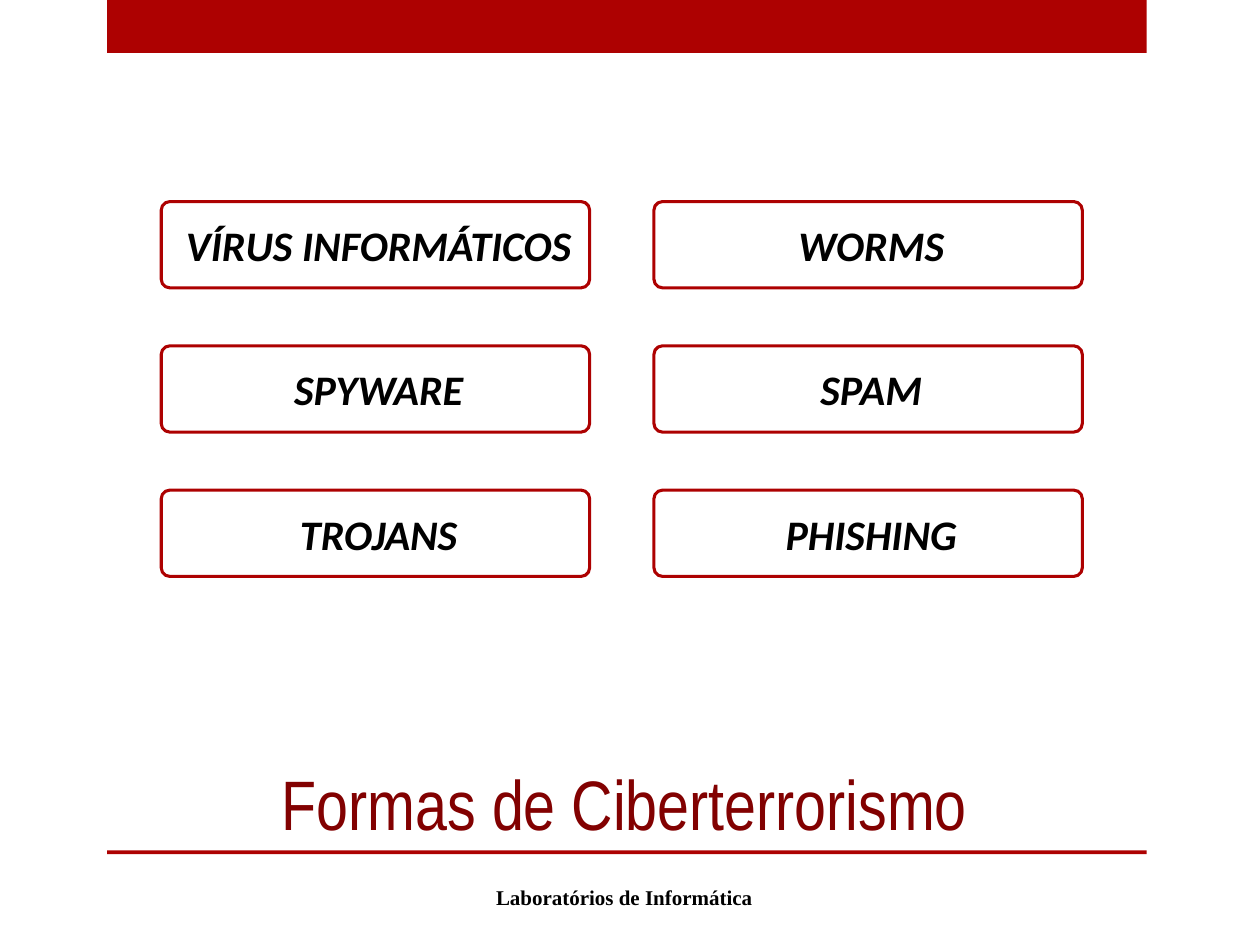
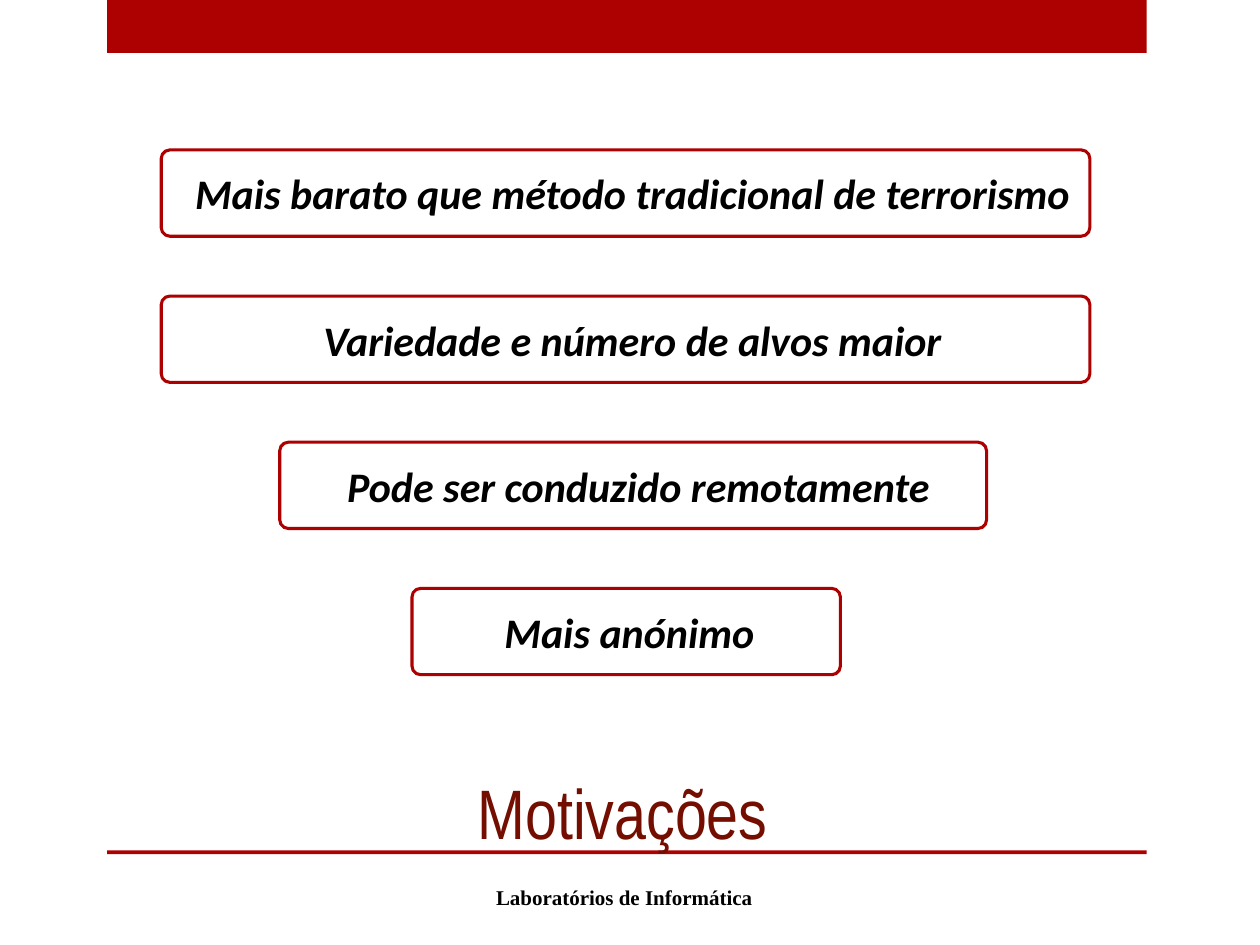
"""Build two slides on the forms of cyberterrorism and its motives."""
from dataclasses import dataclass

import pptx
import pptx.dml.color
import pptx.enum.shapes
import pptx.enum.text
import pptx.util

Kind = pptx.enum.shapes.MSO_SHAPE
Anchor = pptx.enum.text.MSO_ANCHOR

WIDE, HIGH = pptx.util.Inches(10), pptx.util.Inches(7.5)
COLS, ROWS = 100, 75


@dataclass(frozen=True)
class Font:
    """Type style of one kind of text."""
    name: str
    size: int
    bold: bool = False
    slant: bool = False


@dataclass(frozen=True)
class Theme:
    """Colours and type sizes shared by the slides."""
    red: str = "AD0101"
    white: str = "FFFFFF"
    black: str = "000000"
    edge: float = 1.75
    round: float = 0.1
    title: Font = Font("Arial Narrow", 40)
    label: Font = Font("Calibri", 24, True, True)
    foot: Font = Font("Times New Roman", 12, True)


@dataclass(frozen=True)
class Area:
    """Place on the slide in grid columns and rows."""
    col: float
    row: float
    wide: float
    high: float

    def spot(self) -> tuple[int, int, int, int]:
        """Return left, top, width and height as lengths."""
        across, down = WIDE / COLS, HIGH / ROWS
        return (round(self.col * across), round(self.row * down),
                round(self.wide * across), round(self.high * down))


@dataclass(frozen=True)
class Card:
    """Framed label and its place."""
    text: str
    area: Area


@dataclass(frozen=True)
class Page:
    """Content of one slide."""
    title: str
    color: str
    area: Area
    cards: list[Card]


THEME = Theme()
BANDS = [Area(8.5, 0, 82.5, 4.2), Area(8.5, 67.5, 82.5, 0.3)]
FOOT = Area(22.9, 69.2, 53.3, 4)
LEFT, RIGHT = 12.8, 51.9
SLIM, FULL, TALL = 34, 73.7, 6.85
SHIFT, INSET = 0.015, 0.2

FORMS = [
    ("VÍRUS INFORMÁTICOS", "WORMS"),
    ("SPYWARE", "SPAM"),
    ("TROJANS", "PHISHING"),
]
MOTIVES = [
    ("Mais barato que método tradicional de terrorismo", LEFT, FULL),
    ("Variedade e número de alvos maior", LEFT, FULL),
    ("Pode ser conduzido remotamente", 22.2, 56.1),
    ("Mais anónimo", 32.7, SLIM),
]
PAGES = [
    Page("Formas de Ciberterrorismo", "820101", Area(8.3, 58, 82.5, 9.5),
         [Card(text, Area(col, 16 + 11.45 * i, SLIM, TALL))
          for i, pair in enumerate(FORMS)
          for text, col in zip(pair, (LEFT, RIGHT))]),
    Page("Motivações", "730E00", Area(12.3, 50.7, 74.2, 17.5),
         [Card(text, Area(col, 11.9 + 11.6 * i, wide, TALL))
          for i, (text, col, wide) in enumerate(MOTIVES)]),
]


def tint(code: str) -> pptx.dml.color.RGBColor:
    """Return the colour of a hex code."""
    return pptx.dml.color.RGBColor.from_string(code)


def block(shapes, kind: Kind, area: Area, fill: str):
    """Draw a plain filled shape without line or shadow."""
    shape = shapes.add_shape(kind, *area.spot())
    shape.shadow.inherit = False
    shape.fill.solid()
    shape.fill.fore_color.rgb = tint(fill)
    shape.line.fill.background()
    return shape


def write(shapes, text: str, area: Area, font: Font, color: str,
          anchor: Anchor = Anchor.MIDDLE):
    """Draw one centred line of text and return its frame."""
    frame = shapes.add_textbox(*area.spot()).text_frame
    frame.word_wrap = True
    frame.vertical_anchor = anchor
    frame.text = text
    line = frame.paragraphs[0]
    line.alignment = pptx.enum.text.PP_ALIGN.CENTER
    face = line.runs[0].font
    face.name, face.size = font.name, pptx.util.Pt(font.size)
    face.bold, face.italic = font.bold, font.slant
    face.color.rgb = tint(color)
    return frame


def frame_card(shapes, card: Card) -> None:
    """Draw a rounded frame grouped with its label."""
    group = shapes.add_group_shape().shapes
    area = card.area
    box = block(group, Kind.ROUNDED_RECTANGLE, area, THEME.white)
    box.adjustments[0] = THEME.round
    box.line.color.rgb = tint(THEME.red)
    box.line.width = pptx.util.Pt(THEME.edge)
    shift = area.wide * SHIFT
    inner = Area(area.col + shift, area.row + INSET,
                 area.wide - shift, area.high - 2 * INSET)
    label = write(group, card.text, inner, THEME.label, THEME.black)
    gap = round(INSET * WIDE / COLS)
    label.margin_left = label.margin_right = gap
    label.margin_top = label.margin_bottom = gap


def draw(deck, page: Page) -> None:
    """Add one slide with its bands, title, cards and footer."""
    shapes = deck.slides.add_slide(deck.slide_layouts[6]).shapes
    for band in BANDS:
        block(shapes, Kind.RECTANGLE, band, THEME.red)
    write(shapes, page.title, page.area, THEME.title, page.color, Anchor.BOTTOM)
    for card in page.cards:
        frame_card(shapes, card)
    write(shapes, "Laboratórios de Informática", FOOT, THEME.foot, THEME.black)


def main() -> None:
    """Build and save the deck."""
    deck = pptx.Presentation()
    deck.slide_width, deck.slide_height = WIDE, HIGH
    for page in PAGES:
        draw(deck, page)
    deck.save("out.pptx")


if __name__ == "__main__":
    main()
